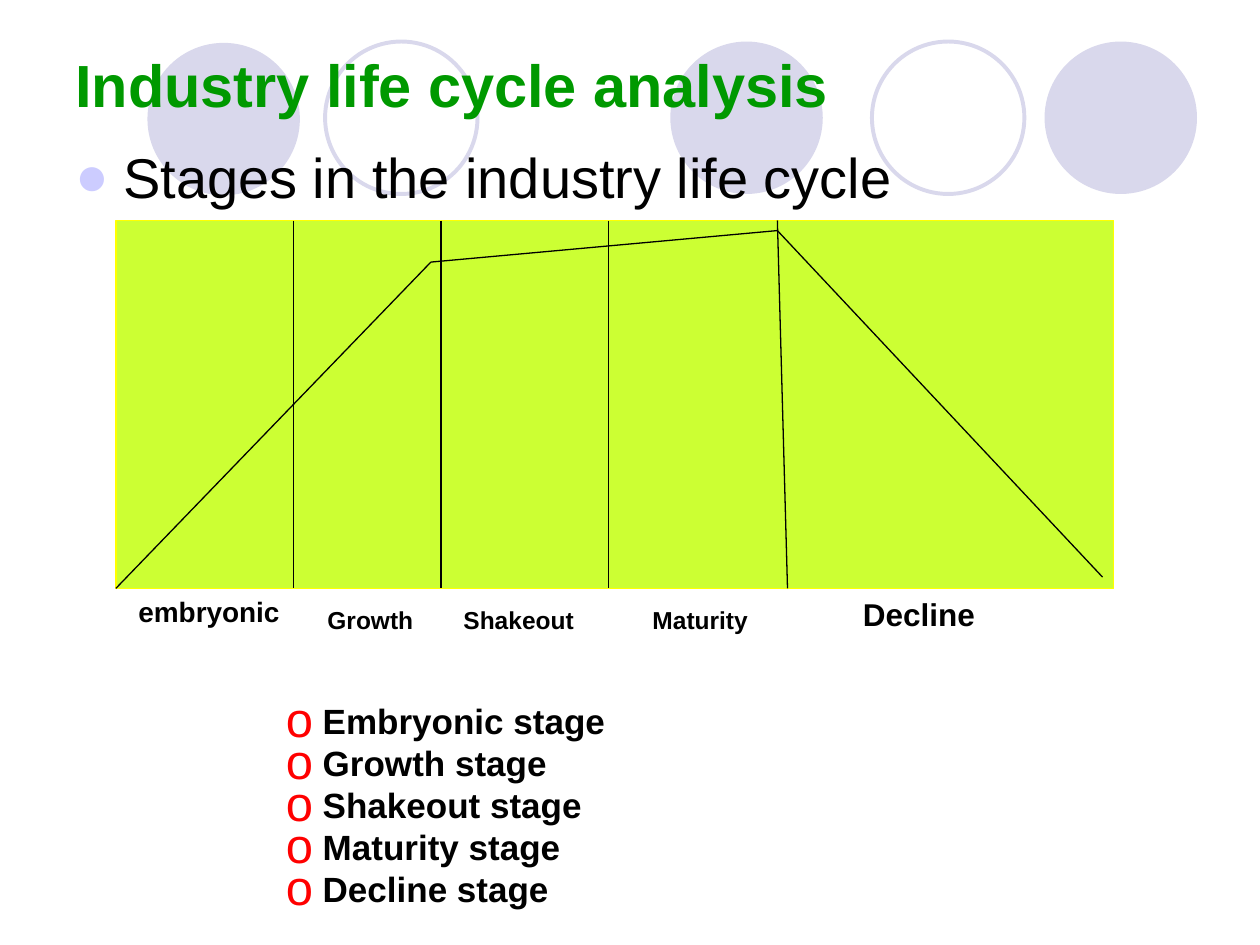
from lxml import etree
from pptx import Presentation
from pptx import util as u
from pptx.dml.color import RGBColor
from pptx.enum import shapes, text
from pptx.oxml.ns import qn

COLORS = {
    "circle": "D9D8EC",
    "title": "009900",
    "text": "000000",
    "bullet": "CCCCFF",
    "list_bullet": "FF0000",
    "panel": "CCFF33",
    "panel_edge": "FFFF00",
}
FONT = "Arial"
PANEL_LEFT, PANEL_TOP, PANEL_WIDTH, PANEL_HEIGHT = 0.92, 1.75, 7.92, 2.92
PANEL_BOTTOM = PANEL_TOP + PANEL_HEIGHT
CIRCLES = [(5.32, 0.33, True), (8.29, 0.33, True), (1.17, 0.34, True),
           (6.92, 0.33, False), (2.58, 0.33, False)]
CURVE = [(PANEL_LEFT, PANEL_BOTTOM), (3.42, 2.08), (6.17, 1.83), (8.75, 4.58)]
DIVIDERS = [(2.33, 2.33), (3.5, 3.5), (4.83, 4.83), (6.17, 6.25)]
LABELS = [
    ("embryonic", 1, 4.67, 1.42, 0.37, 16),
    ("Growth", 2.5, 4.75, 0.92, 0.34, 14),
    ("Shakeout", 3.58, 4.75, 1.17, 0.34, 14),
    ("Maturity", 5.08, 4.75, 1, 0.34, 14),
    ("Decline", 6.75, 4.67, 1.58, 0.4, 18),
]
STAGES = ["Embryonic", "Growth", "Shakeout", "Maturity", "Decline"]


def rgb(name):
    return RGBColor.from_string(COLORS[name])


def add_shape(s, kind, box, fill=None, line=None, width=0.75):
    sp = s.shapes.add_shape(kind, *map(u.Inches, box))
    sp.shadow.inherit = False
    if fill:
        sp.fill.solid()
        sp.fill.fore_color.rgb = rgb(fill)
    else:
        sp.fill.background()
    if line:
        sp.line.color.rgb = rgb(line)
        sp.line.width = u.Pt(width)
    else:
        sp.line.fill.background()


def add_line(s, start, end):
    sp = s.shapes.add_connector(shapes.MSO_CONNECTOR.STRAIGHT,
                                *map(u.Inches, (*start, *end)))
    sp.line.color.rgb = rgb("text")
    sp.line.width = u.Pt(0.75)
    etree.SubElement(sp._element.spPr, qn("a:effectLst"))


def add_bullet(p, char, color, margin, indent, size=100):
    pPr = p._p.get_or_add_pPr()
    pPr.set("marL", str(u.Inches(margin)))
    pPr.set("indent", str(u.Inches(indent)))
    clr = etree.SubElement(pPr, qn("a:buClr"))
    etree.SubElement(clr, qn("a:srgbClr"), val=COLORS[color])
    etree.SubElement(pPr, qn("a:buSzPct"), val=str(size * 1000))
    etree.SubElement(pPr, qn("a:buFont"), typeface=FONT)
    etree.SubElement(pPr, qn("a:buChar"), char=char)


def add_text(s, lines, box, size, color="text", bold=True, before=0,
             top=0.05, bullet=None, level=0, grow=False):
    tf = s.shapes.add_textbox(*map(u.Inches, box)).text_frame
    tf.word_wrap = True
    tf.margin_top = u.Inches(top)
    if grow:
        tf.auto_size = text.MSO_AUTO_SIZE.SHAPE_TO_FIT_TEXT
    for i, line in enumerate(lines):
        p = tf.add_paragraph() if i else tf.paragraphs[0]
        p.level = level
        p.space_before = u.Pt(before)
        if bullet:
            add_bullet(p, **bullet)
        r = p.add_run()
        r.text = line
        r.font.name = FONT
        r.font.size = u.Pt(size)
        r.font.bold = bold
        r.font.color.rgb = rgb(color)


def main():
    prs = Presentation()
    prs.slide_width, prs.slide_height = u.Inches(10), u.Inches(7.5)
    s = prs.slides.add_slide(prs.slide_layouts[6])

    for left, top, filled in CIRCLES:
        add_shape(s, shapes.MSO_SHAPE.OVAL, (left, top, 1.21, 1.21),
                  fill="circle" if filled else None,
                  line=None if filled else "circle", width=2.25)

    add_text(s, ["Industry life cycle analysis"], (0.5, 0.3, 9, 1.25), 34,
             color="title", top=0.08)
    add_text(s, ["Stages in the industry life cycle"], (0.5, 1.08, 9, 4.25), 32,
             bold=False, before=8,
             bullet=dict(char="●", color="bullet", margin=0.38, indent=-0.38))

    add_shape(s, shapes.MSO_SHAPE.RECTANGLE,
              (PANEL_LEFT, PANEL_TOP, PANEL_WIDTH, PANEL_HEIGHT),
              fill="panel", line="panel_edge")
    add_text(s, [f" {stage} stage" for stage in STAGES],
             (1.17, 5.5, 5.17, 2.28), 20, level=2, grow=True,
             bullet=dict(char="o", color="list_bullet", margin=1, indent=0,
                         size=140))

    for start, end in zip(CURVE, CURVE[1:]):
        add_line(s, start, end)
    for x_top, x_bottom in DIVIDERS:
        add_line(s, (x_top, PANEL_TOP), (x_bottom, PANEL_BOTTOM))
    for label, left, top, width, height, size in LABELS:
        add_text(s, [label], (left, top, width, height), size,
                 before=round(size * 0.625, 1), grow=True)

    prs.save("out.pptx")


if __name__ == "__main__":
    main()
